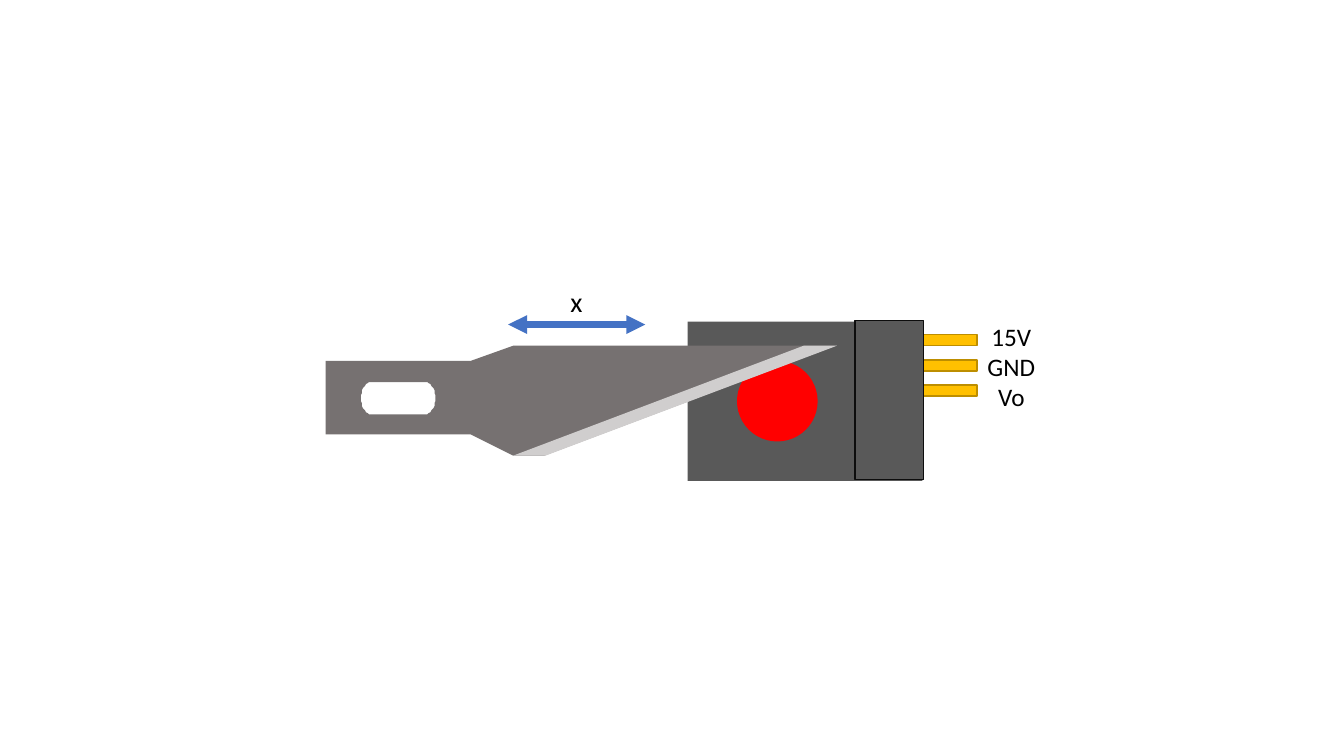
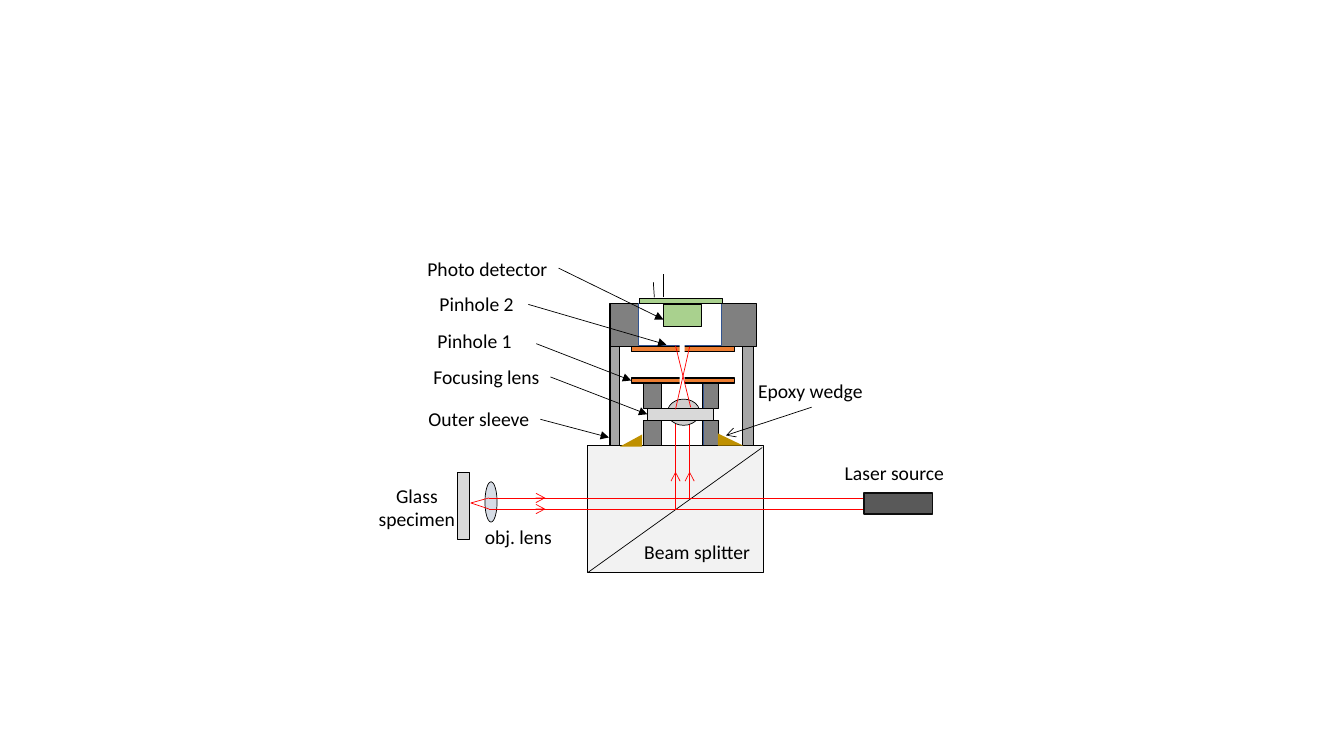
"""Build two slides: a knife-edge beam sensor and a confocal detector set-up."""
import dataclasses
import math

import pptx
import pptx.dml.color
import pptx.enum.shapes
import pptx.enum.text
import pptx.oxml.ns
import pptx.util
from lxml import etree

PX = 9144
SHAPE = pptx.enum.shapes.MSO_SHAPE
ALIGN = pptx.enum.text.PP_ALIGN
ANCHOR = pptx.enum.text.MSO_ANCHOR
LEFT_SIDE = 1


@dataclasses.dataclass(frozen=True)
class Theme:
    """Colours, type sizes and line widths of both slides."""
    font: str = "Calibri"
    ink: str = "000000"
    paper: str = "FFFFFF"
    motion: str = "4472C4"
    casing: str = "595959"
    casing_edge: str = "0D0D0D"
    pin: str = "FFC000"
    pin_edge: str = "BD8E00"
    laser: str = "FF0000"
    blade: str = "767171"
    bevel: str = "D0CECE"
    sleeve: str = "A6A6A6"
    mount: str = "808080"
    cavity_edge: str = "325491"
    pinhole: str = "ED7D31"
    splitter: str = "F2F2F2"
    board: str = "A9D18E"
    epoxy: str = "BF9000"
    objective: str = "D6DCE5"
    ball: str = "D0CECE"
    glass: str = "D9D9D9"
    axis_size: int = 20
    pin_size: int = 18
    callout_size: int = 14
    thin: float = 0.5
    outline: float = 0.75
    heavy: float = 1
    bold: float = 4.5


THEME = Theme()


def rgb(code):
    """Turn a hex code into a colour."""
    return pptx.dml.color.RGBColor.from_string(code)


def paint(part, fill, edge, width):
    """Give a shape its fill and outline, without shadow."""
    part.shadow.inherit = False
    part.fill.solid()
    part.fill.fore_color.rgb = rgb(fill)
    if edge:
        part.line.color.rgb = rgb(edge)
        part.line.width = pptx.util.Pt(width)
    else:
        part.line.fill.background()
    return part


@dataclasses.dataclass(frozen=True)
class Region:
    """A part of a slide with its own origin, in px."""
    slide: object
    left: int = 0
    top: int = 0

    def spot(self, x, y):
        """Turn a local point into EMU on the slide."""
        return (self.left + x) * PX, (self.top + y) * PX

    def block(self, x, y, width, height, fill, edge=THEME.ink,
              weight=THEME.outline, kind=SHAPE.RECTANGLE):
        """Draw a preset shape."""
        part = self.slide.shapes.add_shape(
            kind, *self.spot(x, y), width * PX, height * PX)
        return paint(part, fill, edge, weight)

    def outline(self, fill, *contours):
        """Draw a filled outline; further contours are holes."""
        builder = None
        for contour in contours:
            points = [(self.left + x, self.top + y) for x, y in contour]
            if builder is None:
                builder = self.slide.shapes.build_freeform(*points[0], scale=PX)
            else:
                builder.move_to(*points[0])
            builder.add_line_segments(points[1:], close=True)
        return paint(builder.convert_to_shape(), fill, None, 0)

    def line(self, start, end, color=THEME.ink, weight=THEME.thin,
             head=None, tail=None):
        """Draw a straight line with optional arrowheads."""
        stroke = self.slide.shapes.add_connector(
            pptx.enum.shapes.MSO_CONNECTOR.STRAIGHT,
            *self.spot(*start), *self.spot(*end))
        stroke.line.color.rgb = rgb(color)
        stroke.line.width = pptx.util.Pt(weight)
        qn = pptx.oxml.ns.qn
        properties = stroke._element.spPr
        ln = properties.find(qn("a:ln"))
        for tag, style in (("a:headEnd", head), ("a:tailEnd", tail)):
            if style:
                etree.SubElement(ln, qn(tag), type=style)
        etree.SubElement(properties, qn("a:effectLst"))
        return stroke

    def text(self, words, x, y, width, height, size=THEME.callout_size,
             align=ALIGN.LEFT, anchor=ANCHOR.TOP):
        """Write text, one paragraph for each line."""
        label = self.slide.shapes.add_textbox(
            *self.spot(x, y), width * PX, height * PX)
        frame = label.text_frame
        frame.word_wrap = False
        frame.auto_size = pptx.enum.text.MSO_AUTO_SIZE.SHAPE_TO_FIT_TEXT
        frame.vertical_anchor = anchor
        frame.text = words
        for paragraph in frame.paragraphs:
            paragraph.alignment = align
            for run in paragraph.runs:
                run.font.name = THEME.font
                run.font.size = pptx.util.Pt(size)
                run.font.color.rgb = rgb(THEME.ink)


def draw_motion(area):
    """Draw the travel arrow and its axis name."""
    area.line((0, 45), (136, 45), THEME.motion, THEME.bold,
              head="triangle", tail="triangle")
    area.text("x", 52, 0, 32, 44, size=THEME.axis_size)


def draw_sensor(area):
    """Draw the sensor body, its pins and the laser spot."""
    area.block(0, 1, 233, 158, THEME.casing, None)
    for row in range(3):
        area.block(234, 14 + 25 * row, 53, 11, THEME.pin, THEME.pin_edge,
                   THEME.heavy)
    area.text("15V\nGND\nVo", 287, -5, 68, 101, size=THEME.pin_size,
              align=ALIGN.CENTER, anchor=ANCHOR.MIDDLE)
    area.block(49, 40, 80, 80, THEME.laser, None,
               kind=SHAPE.FLOWCHART_CONNECTOR)
    area.block(166, 0, 68, 158, THEME.casing, THEME.casing_edge, THEME.heavy)


def draw_blade(area):
    """Draw the slotted knife blade and its bevel."""
    body = [(0, 15), (144, 15), (186, 0), (506, 0), (217, 109), (186, 109),
            (144, 88), (0, 88)]
    slot = []
    for degrees in range(0, 361, 10):
        angle = math.radians(90 + degrees)
        center = 45 if degrees <= 180 else 99
        slot.append((center + 10 * math.cos(angle), 52 - 16 * math.sin(angle)))
    area.outline(THEME.blade, body, slot)
    area.outline(THEME.bevel, [(474, 0), (507, 0), (218, 109), (186, 109)])


def draw_housing(area):
    """Draw the outer sleeve, the detector in its ring and the leads."""
    area.block(0, 71, 142, 99, THEME.sleeve)
    area.block(9, 72, 122, 99, THEME.paper)
    area.block(0, 29, 145, 43, THEME.mount)
    area.block(28, 29, 83, 42, THEME.paper, THEME.cavity_edge)
    area.line((53, 23), (53, 0))
    area.line((44, 23), (43, 8))
    area.block(29, 24, 83, 5, THEME.board)
    area.block(53, 30, 38, 22, THEME.board)


def draw_mounts(area):
    """Draw the lens mounts above and below the focusing lens."""
    for top in (0, 37):
        area.block(0, top, 75, 25, THEME.mount)
        area.block(18, top, 42, 25, THEME.paper, THEME.cavity_edge)
        for wall in (18, 59):
            area.line((wall, top), (wall, top + 25), weight=THEME.outline)


def draw_splitter(area):
    """Draw the beam splitter cube."""
    area.block(0, 0, 174, 126, THEME.splitter)
    area.line((173, 2), (0, 126))
    area.text("Beam splitter", 46, 89, 127, 34)


def draw_beams(area):
    """Draw the two rays from laser to specimen and up to the lens."""
    for row, column in ((89, 217), (100, 203)):
        rays = (
            ((column, 0), (column, row), None),
            ((column, 80), (column, 63), "arrow"),
            ((18, row), (column, row), None),
            ((58, row), (74, row), "arrow"),
            ((column, row), (390, row), None),
            ((18, row), (0, 94), None),
        )
        for start, end, tail in rays:
            area.line(start, end, THEME.laser, tail=tail)


def draw_pinhole(area, gap_height):
    """Draw a plate with a pinhole and return the plate."""
    plate = area.block(0, 0, 103, 5, THEME.pinhole)
    area.block(48, 2 - gap_height // 2, 5, gap_height, THEME.paper, None)
    return plate


def draw_lens(area):
    """Draw the focusing lens with its rays and return its holder."""
    area.block(20, 0, 32, 26, THEME.ball, weight=THEME.thin, kind=SHAPE.OVAL)
    holder = area.block(0, 9, 66, 12, THEME.glass)
    for start, end in (((43, 8), (28, -53)), ((28, 10), (42, -52))):
        area.line(start, end, THEME.laser)
    return holder


def draw_wedges(area):
    """Draw the epoxy wedges on both sides of the mount."""
    left = area.block(0, 1, 22, 12, THEME.epoxy, None,
                      kind=SHAPE.RIGHT_TRIANGLE)
    left._element.spPr.find(pptx.oxml.ns.qn("a:xfrm")).set("flipH", "1")
    area.block(97, 0, 25, 12, THEME.epoxy, None, kind=SHAPE.RIGHT_TRIANGLE)


def draw_specimen(area):
    """Draw the glass specimen with its name."""
    area.block(89, 0, 12, 66, THEME.glass)
    area.text("Glass\nspecimen", 0, 6, 97, 57, align=ALIGN.CENTER)
    area.text("obj. lens", 106, 47, 87, 34)


def draw_laser(area):
    """Draw the laser source with its name."""
    area.block(29, 37, 68, 21, THEME.casing, THEME.casing_edge, THEME.heavy)
    area.text("Laser source", 0, 0, 120, 34)


def draw_callouts(area, plate, holder):
    """Name the parts, each with an arrow to its part."""
    callouts = (
        ("Photo detector", (0, 0, 140), (140, 16), (244, 67), "triangle", None),
        ("Pinhole 2", (12, 35, 95), (110, 52), (247, 92), "triangle", None),
        ("Pinhole 1", (10, 71, 95), (118, 91), (212, 126), "triangle", plate),
        ("Focusing lens", (6, 107, 127), (132, 124), (228, 161), "triangle",
         holder),
        ("Outer sleeve", (1, 149, 121), (122, 166), (190, 184), "triangle",
         None),
        ("Epoxy wedge", (328, 121, 125), (391, 154), (306, 182), "arrow", None),
    )
    for words, box, start, tip, tail, part in callouts:
        area.text(words, *box, 34)
        arrow = area.line(start, tip, tail=tail)
        if part is not None:
            arrow.end_connect(part, LEFT_SIDE)


def build_knife_edge(slide):
    """Compose the knife-edge slide."""
    draw_motion(Region(slide, 504, 277))
    draw_sensor(Region(slide, 682, 318))
    draw_blade(Region(slide, 323, 343))


def build_confocal(slide):
    """Compose the confocal set-up slide."""
    Region(slide, 481, 478).block(0, 0, 12, 40, THEME.objective,
                                  weight=THEME.thin, kind=SHAPE.OVAL)
    draw_housing(Region(slide, 605, 272))
    draw_mounts(Region(slide, 638, 380))
    draw_splitter(Region(slide, 583, 442))
    draw_beams(Region(slide, 467, 405))
    plate = draw_pinhole(Region(slide, 626, 375), 12)
    draw_pinhole(Region(slide, 626, 344), 8)
    holder = draw_lens(Region(slide, 642, 396))
    draw_wedges(Region(slide, 615, 430))
    draw_specimen(Region(slide, 365, 469))
    draw_laser(Region(slide, 828, 452))
    draw_callouts(Region(slide, 414, 250), plate, holder)


def main():
    """Build and save the presentation."""
    deck = pptx.Presentation()
    deck.slide_width, deck.slide_height = 1333 * PX, 750 * PX
    for build in (build_knife_edge, build_confocal):
        build(deck.slides.add_slide(deck.slide_layouts[6]))
    deck.save("out.pptx")


if __name__ == "__main__":
    main()
